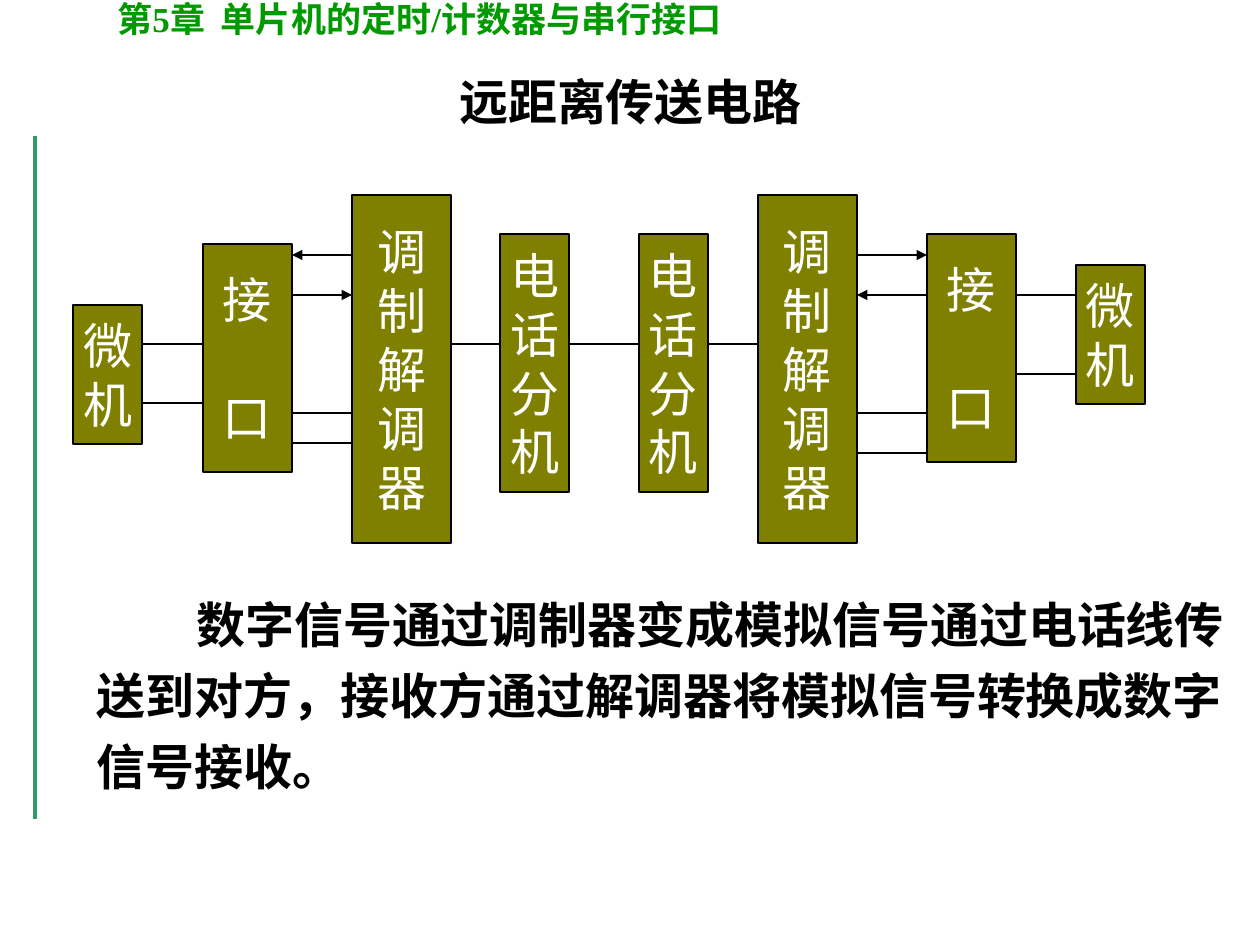
from lxml import etree
from pptx import Presentation
from pptx.dml.color import RGBColor
from pptx.enum.shapes import MSO_CONNECTOR, MSO_SHAPE
from pptx.enum.text import MSO_ANCHOR, MSO_AUTO_SIZE, PP_ALIGN
from pptx.oxml.ns import qn
from pptx.util import Pt

RECTANGLE = MSO_SHAPE.RECTANGLE
STRAIGHT = MSO_CONNECTOR.STRAIGHT
CENTER, LEFT = PP_ALIGN.CENTER, PP_ALIGN.LEFT
TOP, MIDDLE = MSO_ANCHOR.TOP, MSO_ANCHOR.MIDDLE
NO_FIT = MSO_AUTO_SIZE.NONE
PX = 914400 // 126

COLORS = {"olive": "808000", "black": "000000", "white": "FFFFFF",
          "chapter": "009900", "rule": "339966"}

CHAPTER = "第5章  单片机的定时/计数器与串行接口"
TITLE = "远距离传送电路"
BODY = ("数字信号通过调制器变成模拟信号通过电话线传送到对方，"
        "接收方通过解调器将模拟信号转换成数字信号接收。")
BODY_INDENT = 100

SIZES = {"微机": (69, 139), "接口": (89, 228),
         "调制解调器": (99, 348), "电话分机": (69, 258)}
GAP_BEFORE_LAST = {"接口": 33.5}
CHAIN = [("微机", 73, 305), ("接口", 203, 244), ("调制解调器", 352, 195),
         ("电话分机", 500, 234), ("电话分机", 639, 234),
         ("调制解调器", 758, 195), ("接口", 927, 234), ("微机", 1076, 265)]
LINKS = [
    [(344, "plain"), (403, "plain")],
    [(255, "left"), (295, "right"), (413, "plain"), (443, "plain")],
    [(344, "plain")],
    [(344, "plain")],
    [(344, "plain")],
    [(255, "right"), (295, "left"), (413, "plain"), (453, "plain")],
    [(295, "plain"), (374, "plain")],
]


def color(name):
    return RGBColor.from_string(COLORS[name])


def place(shape, left, top, width, height):
    shape.left, shape.top = left * PX, top * PX
    shape.width, shape.height = width * PX, height * PX


def style(para, size, font, shade, bold=False, align=LEFT):
    para.alignment = align
    para.font.size = Pt(size)
    para.font.name = font
    para.font.bold = bold
    para.font.color.rgb = color(shade)


def add_text(page, text, area, size, shade):
    box = page.shapes.add_textbox(*(n * PX for n in area))
    box.text_frame.word_wrap = True
    para = box.text_frame.paragraphs[0]
    para.text = text
    style(para, size, "Times New Roman", shade, bold=True)
    return para


def add_line(page, start, end, shade="black", width=0.75, arrow=False):
    line = page.shapes.add_connector(STRAIGHT, *(n * PX for n in start + end))
    line.line.color.rgb = color(shade)
    line.line.width = Pt(width)
    if arrow:
        etree.SubElement(line.line._get_or_add_ln(), qn("a:tailEnd"), type="triangle")
    etree.SubElement(line._element.spPr, qn("a:effectLst"))


def add_block(page, name, left, top):
    block = page.shapes.add_shape(RECTANGLE, 0, 0, 0, 0)
    place(block, left, top, *SIZES[name])
    block.shadow.inherit = False
    block.fill.solid()
    block.fill.fore_color.rgb = color("olive")
    block.line.color.rgb = color("black")
    block.line.width = Pt(0.75)
    frame = block.text_frame
    frame.word_wrap = False
    frame.vertical_anchor = MIDDLE
    frame.text = "\n".join(name)
    for para in frame.paragraphs:
        style(para, 28, "Arial", "white", align=CENTER)
    if name in GAP_BEFORE_LAST:
        frame.paragraphs[-1].space_before = Pt(GAP_BEFORE_LAST[name])


def add_title(page):
    title = page.shapes.title
    place(title, 410, 65, 441, 72)
    frame = title.text_frame
    frame.text = TITLE
    frame.auto_size = NO_FIT
    frame.vertical_anchor = TOP
    style(frame.paragraphs[0], 28, "Arial", "black", bold=True, align=CENTER)


def main():
    deck = Presentation()
    deck.slide_width, deck.slide_height = 1260 * PX, 945 * PX
    page = deck.slides.add_slide(deck.slide_layouts[5])

    add_line(page, (35, 136), (35, 819), "rule", 2.25)
    add_text(page, CHAPTER, (105, -9, 725, 55), 20, "chapter")
    add_title(page)

    for block in CHAIN:
        add_block(page, *block)
    for (name, left, _), (_, right, _), links in zip(CHAIN, CHAIN[1:], LINKS):
        edge = left + SIZES[name][0]
        for y, direction in links:
            ends = [(edge, y), (right, y)]
            if direction == "left":
                ends.reverse()
            add_line(page, *ends, arrow=direction != "plain")

    body = add_text(page, BODY, (84, 577, 1176, 224), 28, "black")
    body.line_spacing = 1.2
    body._p.get_or_add_pPr().set("indent", str(BODY_INDENT * PX))

    deck.save("out.pptx")


if __name__ == "__main__":
    main()
